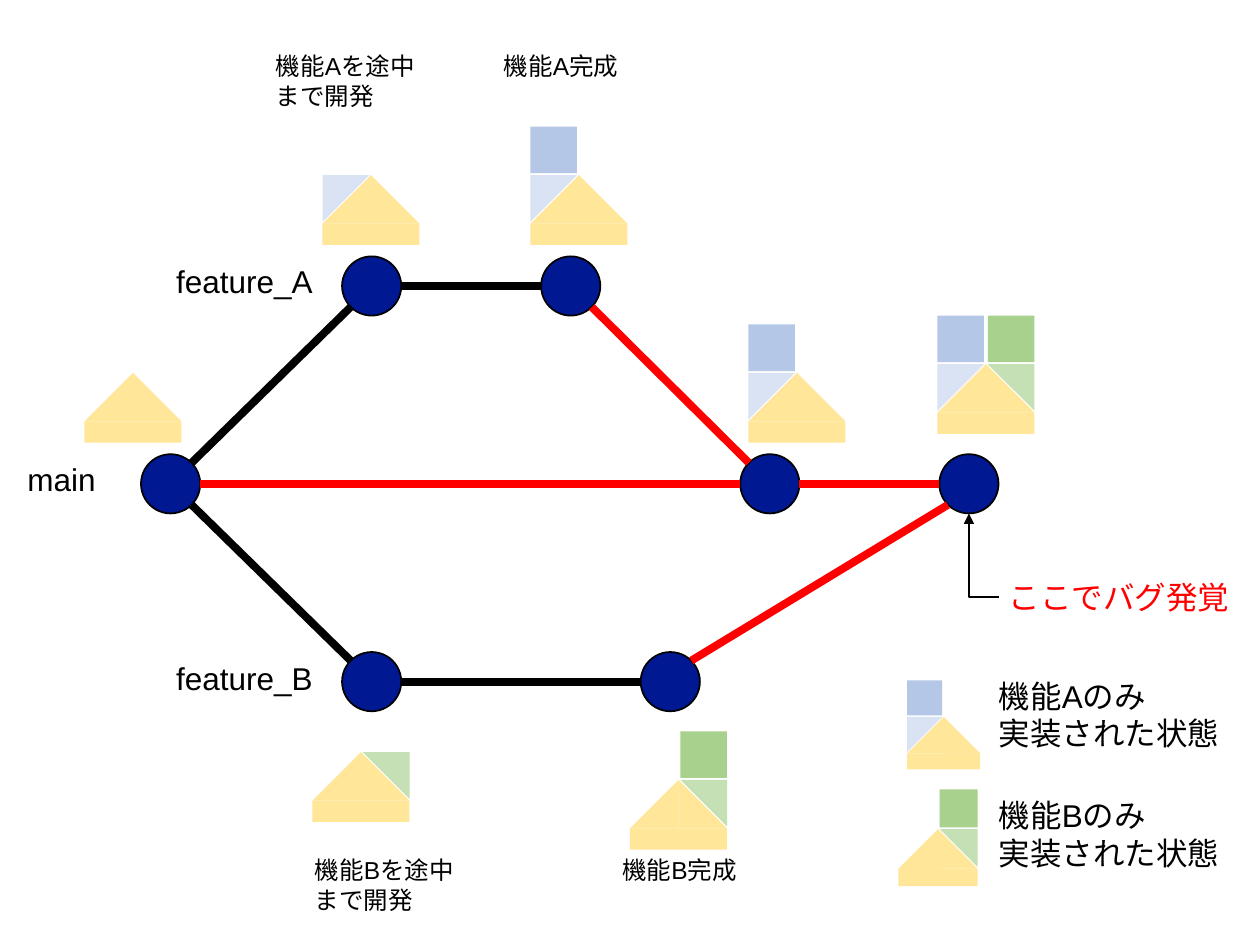
from pptx import Presentation
from pptx import util as u
from pptx.dml.color import RGBColor
from pptx.enum import shapes, text
from pptx.oxml.ns import qn
from lxml import etree

BLACK = RGBColor(0, 0, 0)
RED = RGBColor(0xFF, 0, 0)
NAVY = RGBColor(0x01, 0x18, 0x93)
CREAM = RGBColor(0xFF, 0xE6, 0x99)
BLUE = RGBColor(0xB4, 0xC7, 0xE7)
PALE_BLUE = RGBColor(0xDA, 0xE3, 0xF3)
GREEN = RGBColor(0xA9, 0xD1, 0x8E)
PALE_GREEN = RGBColor(0xC5, 0xE0, 0xB4)

WIDE, HIGH = 10, 7.5
LEFT, TOP = 2.95, 2.27
COL, ROW = 0.79, 1.57
RAY = 0.235
RECT = shapes.MSO_SHAPE.RECTANGLE
WEDGE = shapes.MSO_SHAPE.RIGHT_TRIANGLE

# Column and row of each commit
NODES = {
    "root": (-2.02, 1), "a1": (0, 0), "a2": (2, 0), "b1": (0, 2),
    "b2": (3, 2), "merge": (4, 1), "last": (6, 1),
}
EDGES = [
    ("root", "a1", BLACK), ("a1", "a2", BLACK), ("a2", "merge", RED),
    ("root", "merge", RED), ("root", "b1", BLACK), ("b1", "b2", BLACK),
    ("b2", "last", RED), ("merge", "last", RED),
]
# Left, roof top, width, finished steps of A, finished steps of B
HOUSES = [
    (0.67, 2.96, 0.77, 0, 0), (2.56, 1.39, 0.77, 1, 0),
    (4.21, 1.39, 0.77, 2, 0), (2.48, 5.97, 0.77, 0, 1),
    (5, 6.19, 0.77, 0, 2), (5.94, 2.96, 0.77, 2, 0),
    (7.44, 2.89, 0.77, 2, 2), (7.2, 5.69, 0.58, 2, 0),
    (7.13, 6.58, 0.63, 0, 2),
]
LABELS = [
    (0.12, 3.6, 1.1, 0.4, 18, BLACK, ["main"]),
    (1.3, 2.03, 1.34, 0.4, 18, BLACK, ["feature_A"]),
    (1.3, 5.18, 1.34, 0.4, 18, BLACK, ["feature_B"]),
    (7.91, 4.54, 1.97, 0.4, 18, RED, ["ここでバグ発覚"]),
    (2.09, 0.36, 1.32, 0.57, 14, BLACK, ["機能Aを途中", "まで開発"]),
    (3.9, 0.36, 1.12, 0.34, 14, BLACK, ["機能A完成"]),
    (2.4, 6.74, 1.32, 0.57, 14, BLACK, ["機能Bを途中", "まで開発"]),
    (4.84, 6.74, 1.12, 0.34, 14, BLACK, ["機能B完成"]),
    (7.83, 5.32, 1.97, 0.71, 18, BLACK, ["機能Aのみ", "実装された状態"]),
    (7.83, 6.27, 1.97, 0.71, 18, BLACK, ["機能Bのみ", "実装された状態"]),
]


def inches(*sizes):
    """Turn plain numbers into lengths."""
    return [u.Inches(size) for size in sizes]


def add_block(group, kind, box, color, turn=0):
    """Add one borderless filled shape."""
    block = group.shapes.add_shape(kind, *inches(*box))
    block.shadow.inherit = False
    block.fill.solid()
    block.fill.fore_color.rgb = color
    block.line.fill.background()
    block.rotation = turn
    return block


def add_house(slide, x, y, wide, done_a, done_b):
    """Add a roof on its base with the finished tiles of both features."""
    group = slide.shapes.add_group_shape()
    half, tile = wide / 2, wide * 0.48
    add_block(group, RECT, (x, y + half, wide, wide * 0.22), CREAM)
    add_block(group, WEDGE, (x + half, y, half, half), CREAM)
    add_block(group, WEDGE, (x, y, half, half), CREAM, 270)
    sides = [(x, done_a, PALE_BLUE, BLUE, 90),
             (x + wide - tile, done_b, PALE_GREEN, GREEN, 180)]
    for left, done, pale, full, turn in sides:
        if done > 0:
            add_block(group, WEDGE, (left, y, tile, tile), pale, turn)
        if done > 1:
            add_block(group, RECT, (left, y - half, tile, tile), full)


def centre(name):
    """Give the centre of a commit."""
    col, row = NODES[name]
    return LEFT + col * COL, TOP + row * ROW


def add_node(slide, name):
    """Add the circle of a commit."""
    x, y = centre(name)
    box = (x - RAY, y - RAY, 2 * RAY, 2 * RAY)
    node = add_block(slide, shapes.MSO_SHAPE.OVAL, box, NAVY)
    node.line.color.rgb = BLACK
    node.line.width = u.Pt(1)


def add_line(slide, kind, ends, color, width):
    """Add a connector without a shadow."""
    line = slide.shapes.add_connector(kind, *inches(*ends))
    line.line.color.rgb = color
    line.line.width = u.Pt(width)
    etree.SubElement(line.element.spPr, qn("a:effectLst"))
    return line


def add_edge(slide, start, end, color):
    """Join the rims of two commits, level or from corner to corner."""
    (x1, y1), (x2, y2) = centre(start), centre(end)
    flat = y1 == y2
    dx = RAY if flat else RAY * 0.71
    dy = 0 if flat else dx * (1 if y2 > y1 else -1)
    ends = (x1 + dx, y1 + dy, x2 - dx, y2 - dy)
    add_line(slide, shapes.MSO_CONNECTOR.STRAIGHT, ends, color, 4.5)


def add_arrow(slide):
    """Add the bent arrow from the bug label up to the last commit."""
    x, y = centre("last")
    ends = (x, y + RAY, x + RAY, 4.74)
    arrow = add_line(slide, shapes.MSO_CONNECTOR.ELBOW, ends, BLACK, 1)
    spot = arrow.element.spPr
    spot.find(qn("a:xfrm")).set("rot", "10800000")
    spot.find(qn("a:prstGeom")).set("prst", "bentConnector2")
    etree.SubElement(spot.find(qn("a:ln")), qn("a:tailEnd"), type="triangle")


def add_label(slide, x, y, wide, high, size, color, lines):
    """Add a text box with one paragraph per line."""
    frame = slide.shapes.add_textbox(*inches(x, y, wide, high)).text_frame
    frame.word_wrap = True
    frame.auto_size = text.MSO_AUTO_SIZE.SHAPE_TO_FIT_TEXT
    for i, line in enumerate(lines):
        para = frame.add_paragraph() if i else frame.paragraphs[0]
        run = para.add_run()
        run.text = line
        run.font.name = "Arial"
        run.font.size = u.Pt(size)
        run.font.color.rgb = color


def main():
    """Build the branch diagram."""
    deck = Presentation()
    deck.slide_width, deck.slide_height = inches(WIDE, HIGH)
    slide = deck.slides.add_slide(deck.slide_layouts[6])
    for name in NODES:
        add_node(slide, name)
    for edge in EDGES:
        add_edge(slide, *edge)
    for house in HOUSES:
        add_house(slide, *house)
    add_arrow(slide)
    for label in LABELS:
        add_label(slide, *label)
    deck.save("out.pptx")


if __name__ == "__main__":
    main()
